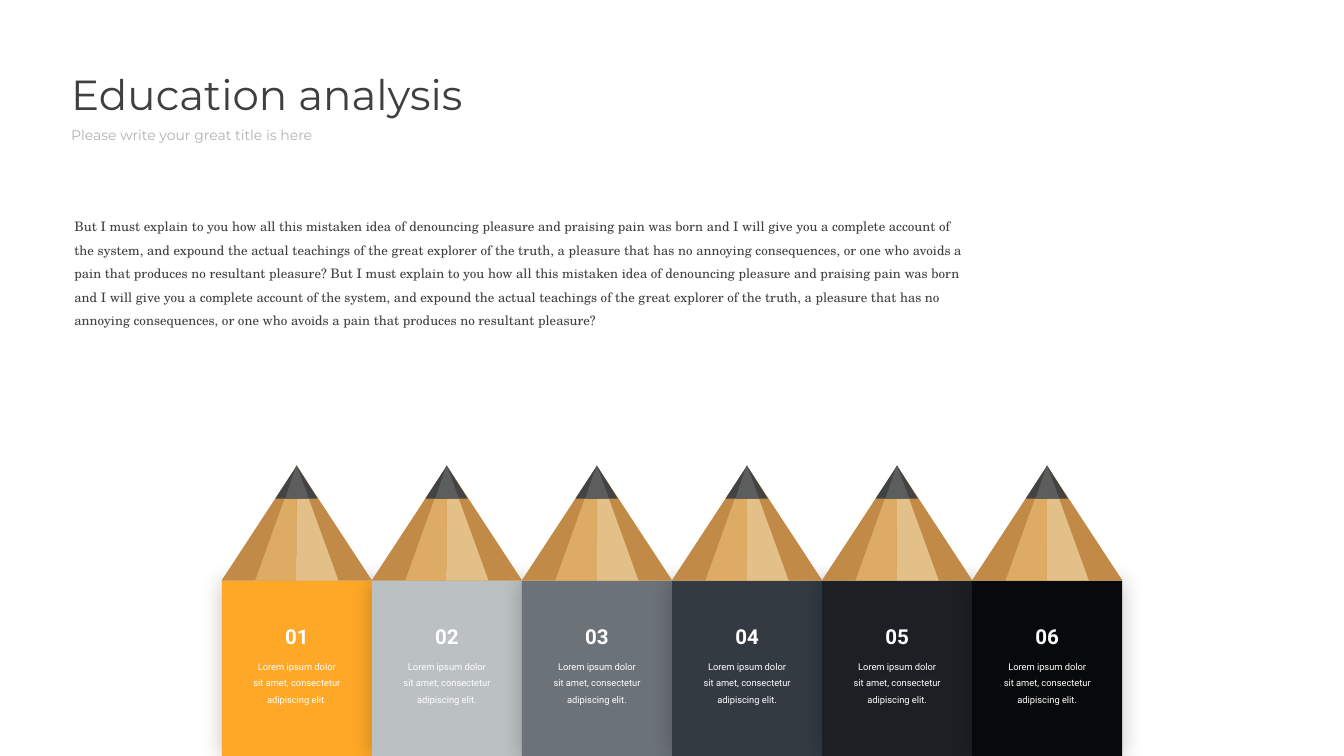
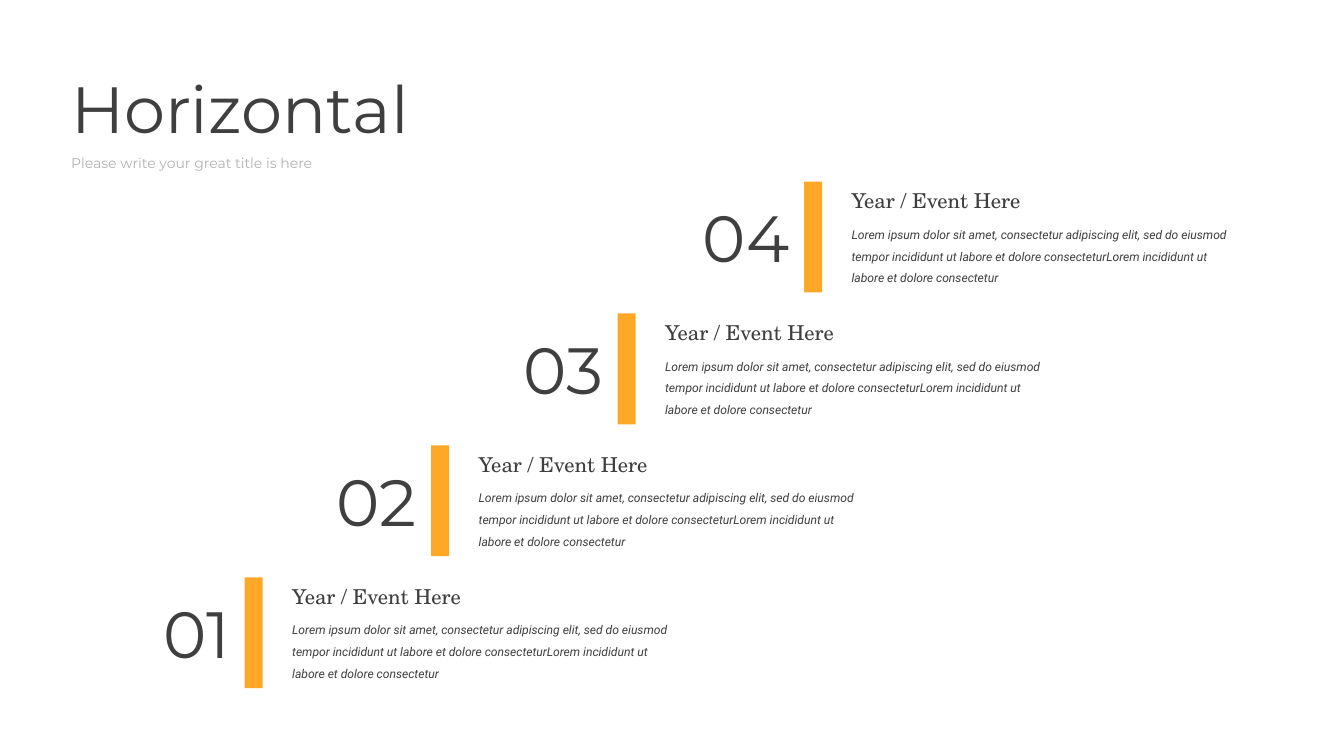
import pptx
import pptx.util
import pptx.dml.color
import pptx.enum.shapes
import pptx.enum.text
import lxml.etree
from pptx.util import Inches

RGB = pptx.dml.color.RGBColor
RECT = pptx.enum.shapes.MSO_SHAPE.RECTANGLE
ALIGN = pptx.enum.text.PP_ALIGN

DARK = RGB(0x3F, 0x3F, 0x3F)
PALE = RGB(0xB2, 0xB2, 0xB2)
WHITE = RGB(0xFF, 0xFF, 0xFF)
ORANGE = RGB(0xFF, 0xA8, 0x27)
WOOD_DARK = RGB(0xC1, 0x8A, 0x46)
WOOD_LIGHT = RGB(0xE4, 0xC0, 0x89)
WOOD_MID = RGB(0xDD, 0xAB, 0x64)
LEAD_DARK = RGB(0x42, 0x43, 0x44)
LEAD_LIGHT = RGB(0x5D, 0x5D, 0x5D)
LEAD_LEFT = RGB(0x5C, 0x5D, 0x5D)
PENCIL_COLORS = [ORANGE, RGB(0xBB, 0xC0, 0xC3), RGB(0x6B, 0x72, 0x78),
                 RGB(0x33, 0x3A, 0x42), RGB(0x1C, 0x20, 0x24), RGB(0x08, 0x09, 0x0A)]

# style: colour, alignment, line spacing, font attributes
STYLES = {
    "title": (DARK, ALIGN.LEFT, 1.0, {"name": "Montserrat", "bold": False}),
    "subtitle": (PALE, ALIGN.LEFT, 1.0, {"name": "Montserrat", "size": pptx.util.Pt(15)}),
    "intro": (DARK, ALIGN.LEFT, 1.5, {"name": "TeX Gyre Schola", "size": pptx.util.Pt(14)}),
    "caption": (WHITE, ALIGN.CENTER, 1.5, {"name": "Roboto", "size": pptx.util.Pt(10)}),
    "label": (WHITE, ALIGN.CENTER, 1.0,
              {"name": "Roboto", "size": pptx.util.Pt(22), "bold": True}),
    "number": (DARK, ALIGN.RIGHT, 1.0, {"name": "Montserrat", "size": pptx.util.Pt(70)}),
    "event": (DARK, ALIGN.LEFT, 1.0, {"name": "TeX Gyre Schola", "size": pptx.util.Pt(22)}),
    "detail": (DARK, ALIGN.LEFT, 1.5,
               {"name": "Roboto", "size": pptx.util.Pt(13), "italic": True}),
}

SUBTITLE = "Please write your great title is here"
SENTENCE = ("But I must explain to you how all this mistaken idea of denouncing pleasure and "
            "praising pain was born and I will give you a complete account of the system, and "
            "expound the actual teachings of the great explorer of the truth, a pleasure that "
            "has no annoying consequences, or one who avoids a pain that produces no resultant "
            "pleasure?")
CAPTION = "Lorem ipsum dolor sit amet, consectetur adipiscing elit."
DETAIL = ("Lorem ipsum dolor sit amet, consectetur adipiscing elit, sed do eiusmod tempor "
          "incididunt ut labore et dolore consecteturLorem incididunt ut labore et dolore "
          "consectetur")


def put_text(shapes, text, style, left, top, width, height, sp=None):
    """Write text in a new text box, or in sp when it is given."""
    box = [Inches(v) for v in (left, top, width, height)]
    if sp is None:
        sp = shapes.add_textbox(*box)
    sp.left, sp.top, sp.width, sp.height = box
    tf = sp.text_frame
    tf.word_wrap = True
    tf.auto_size = pptx.enum.text.MSO_AUTO_SIZE.SHAPE_TO_FIT_TEXT
    tf.vertical_anchor = pptx.enum.text.MSO_ANCHOR.TOP
    color, align, spacing, font = STYLES[style]
    p = tf.paragraphs[0]
    p.alignment, p.line_spacing = align, spacing
    r = p.add_run()
    r.text = text
    for name, value in font.items():
        setattr(r.font, name, value)
    r.font.color.rgb = color
    return r


def paint(sp, color):
    """Give a shape a flat fill with no outline and no shadow."""
    sp.shadow.inherit = False
    sp.fill.solid()
    sp.fill.fore_color.rgb = color
    sp.line.fill.background()


prs = pptx.Presentation()
prs.slide_width, prs.slide_height = Inches(20), Inches(11.25)

# Titles and subtitles
slides = []
for title, size, width, height in [("Education analysis", 45, 6.71, 0.86),
                                   ("Horizontal", 70, 6.56, 1.28)]:
    s = prs.slides.add_slide(prs.slide_layouts[5])
    r = put_text(s.shapes, title, "title", 0.96, 0.97, width, height, s.shapes.title)
    r.font.size = pptx.util.Pt(size)
    put_text(s.shapes, SUBTITLE, "subtitle", 0.96, 0.97 + height, 4.62, 0.35)
    slides.append(s)
pencils, steps = slides

# Slide 1: a row of pencils
ROW_LEFT, PENCIL_W = 3.3, 13.4 / 6
TIP_TOP, LEAD_H, TIP_H = 6.93, 0.49, 1.71
BODY_TOP = TIP_TOP + TIP_H

# tip parts: points measured from the point of the pencil
TIP_PARTS = [
    (WOOD_DARK, [(1.12, TIP_H), (0, 0), (-1.12, TIP_H)]),
    (WOOD_LIGHT, [(0.62, TIP_H), (0, 0), (-0.01, TIP_H)]),
    (WOOD_MID, [(-0.01, TIP_H), (0, 0), (-0.01, 0.01), (-0.62, TIP_H)]),
    (LEAD_DARK, [(-0.32, LEAD_H), (0, 0), (0.31, LEAD_H)]),
    (LEAD_LIGHT, [(0.18, LEAD_H), (-0.17, LEAD_H), (-0.01, 0.01), (0, 0)]),
    (LEAD_LEFT, [(-0.01, LEAD_H), (-0.17, LEAD_H), (-0.01, 0.01), (0, 0)]),
]

put_text(pencils.shapes, f"{SENTENCE} {SENTENCE}", "intro", 1.01, 3.09, 13.46, 2.22)

for i, color in enumerate(PENCIL_COLORS):
    sp = pencils.shapes.add_shape(RECT, Inches(ROW_LEFT + i * PENCIL_W), Inches(BODY_TOP),
                                  Inches(PENCIL_W), Inches(2.62))
    paint(sp, color)
    effects = sp._element.spPr.find(pptx.oxml.ns.qn("a:effectLst"))
    shadow = lxml.etree.SubElement(effects, pptx.oxml.ns.qn("a:outerShdw"),
                                   blurRad=str(pptx.util.Pt(24)), dist="0", dir="0",
                                   algn="ctr", rotWithShape="0")
    black = lxml.etree.SubElement(shadow, pptx.oxml.ns.qn("a:srgbClr"), val="000000")
    lxml.etree.SubElement(black, pptx.oxml.ns.qn("a:alpha"), val="23000")

for i in range(len(PENCIL_COLORS)):
    center = ROW_LEFT + (i + 0.5) * PENCIL_W
    tip = pencils.shapes.add_group_shape()
    for color, offsets in TIP_PARTS:
        points = [(Inches(center + dx), Inches(TIP_TOP + dy)) for dx, dy in offsets]
        outline = tip.shapes.build_freeform(*points[0])
        outline.add_line_segments(points[1:], close=True)
        paint(outline.convert_to_shape(), color)
    words = pencils.shapes.add_group_shape()
    put_text(words.shapes, CAPTION, "caption", center - 0.76, 9.7, 1.52, 0.86)
    put_text(words.shapes, f"{i + 1:02}", "label", center - 0.64, 9.24, 1.28, 0.47)

# Slide 2: four steps rising to the right
for i in range(4):
    left, top = 3.64 + 2.775 * i, 8.59 - 1.963 * i
    put_text(steps.shapes, f"{i + 1:02}", "number", left - 2.15, top + 0.19, 2.03, 1.28)
    bar = steps.shapes.add_shape(RECT, Inches(left), Inches(top), Inches(0.27), Inches(1.65))
    paint(bar, ORANGE)
    put_text(steps.shapes, DETAIL, "detail", left + 0.61, top + 0.52, 5.94, 1.05)
    put_text(steps.shapes, "Year / Event Here", "event", left + 0.61, top + 0.05, 3.04, 0.47)

prs.save("out.pptx")
